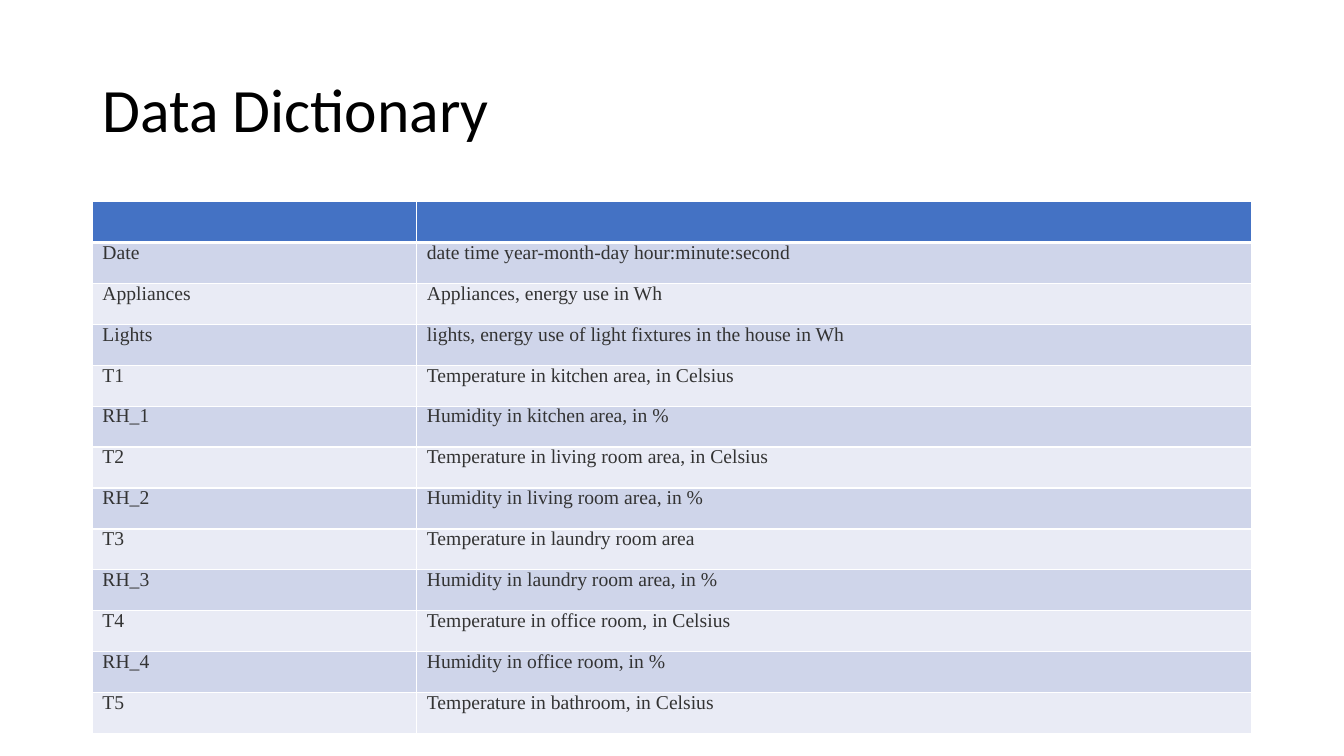
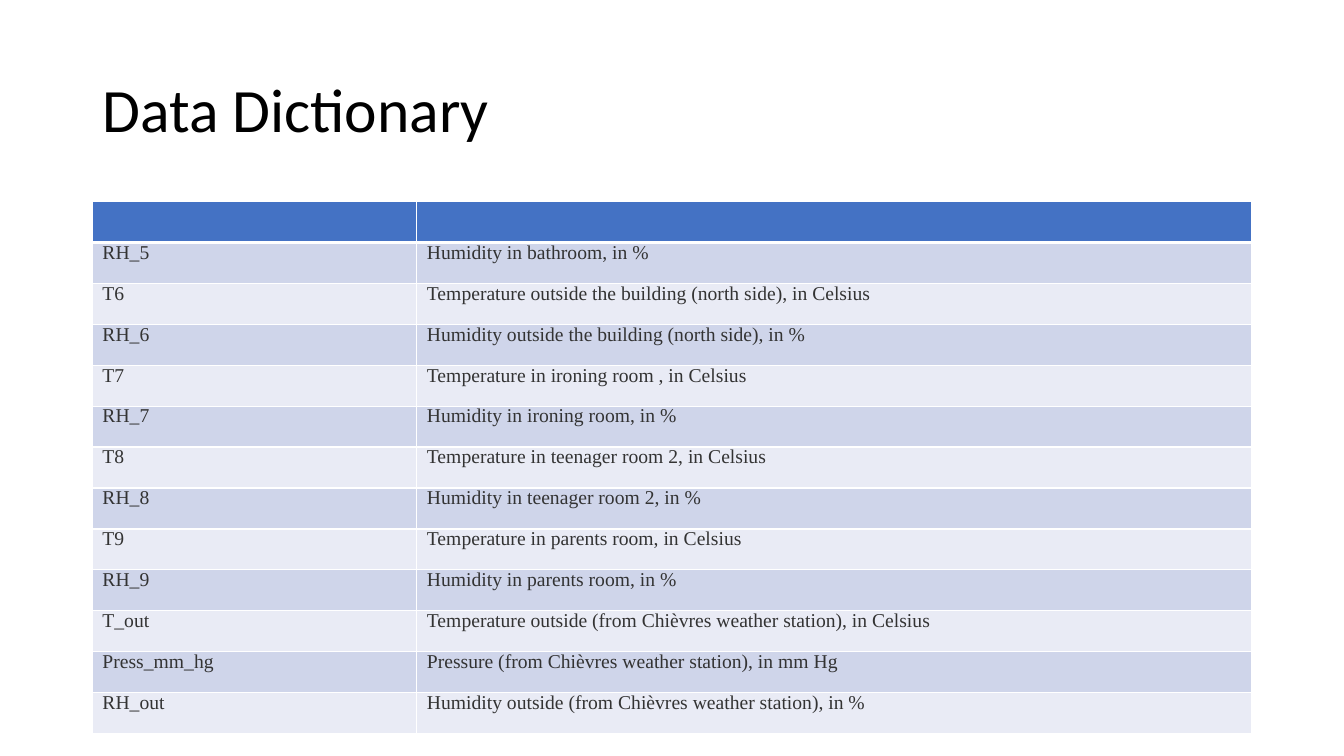
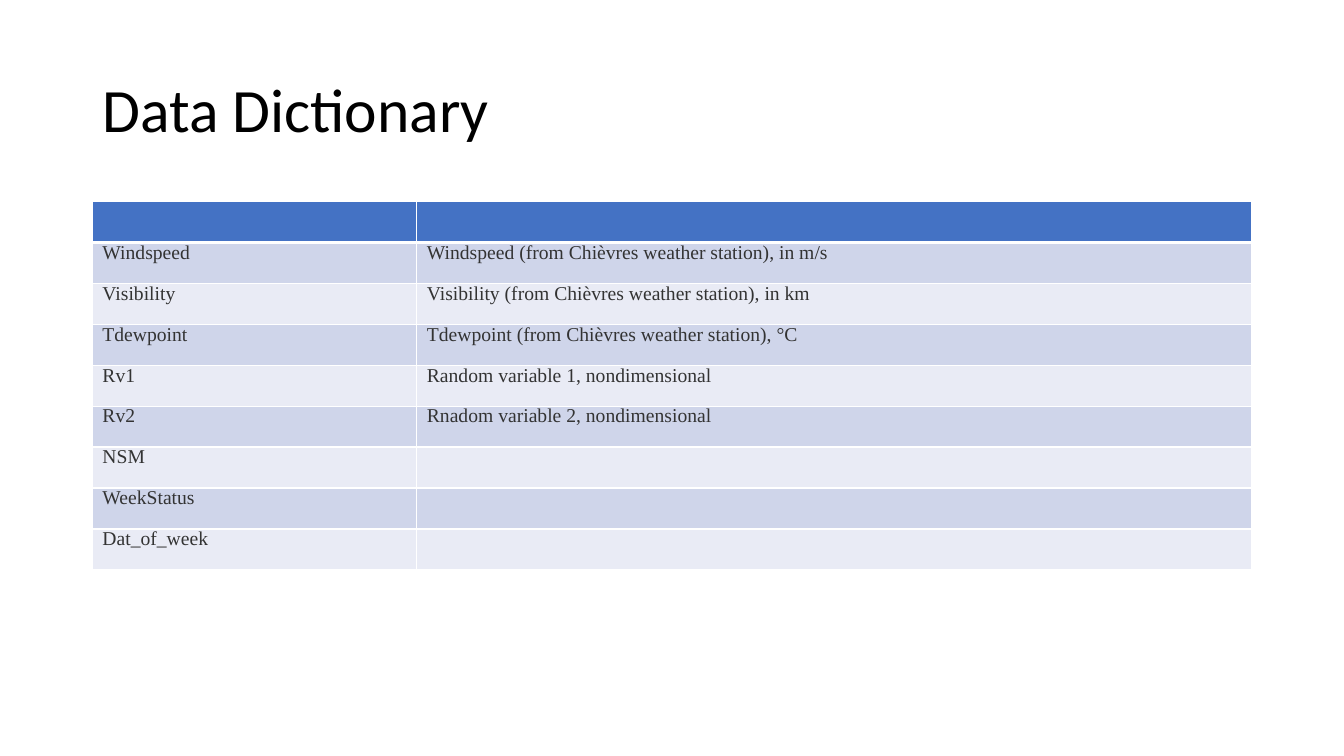
from lxml import etree
from pptx import Presentation
from pptx.dml.color import RGBColor
from pptx.enum.text import MSO_ANCHOR, MSO_AUTO_SIZE, PP_ALIGN
from pptx.oxml.ns import qn
from pptx.util import Pt

PX = 9525  # EMU per px, on a 1280 x 720 slide
HEADER, BANDS, WHITE = "4472C4", ("CFD5EA", "E9EBF5"), "FFFFFF"
COL_WIDTHS, ROW_HEIGHT = (309, 795), 39
LEFT, TABLE_TOP = 88, 192


def put_text(tf, text, size, font, color, spacing):
    p = tf.paragraphs[0]
    p.alignment = PP_ALIGN.LEFT
    p.line_spacing = spacing
    r = p.add_run()
    r.text = text
    r.font.size, r.font.name = Pt(size), font
    r.font.color.rgb = RGBColor.from_string(color)


def style_cell(cell, fill, top, bottom):
    cell.fill.solid()
    cell.fill.fore_color.rgb = RGBColor.from_string(fill)
    tcPr = cell._tc.get_or_add_tcPr()
    widths = {"a:lnL": 1, "a:lnR": 1, "a:lnT": top, "a:lnB": bottom}
    for i, (side, width) in enumerate(widths.items()):
        ln = etree.Element(qn(side), w=str(Pt(width)))
        solid = etree.SubElement(ln, qn("a:solidFill"))
        etree.SubElement(solid, qn("a:srgbClr"), val=WHITE)
        tcPr.insert(i, ln)


# Variables and their meanings, one list per slide
pages = [
    [
        ("Date", "date time year-month-day hour:minute:second"),
        ("Appliances", "Appliances, energy use in Wh"),
        ("Lights", "lights, energy use of light fixtures in the house in Wh"),
        ("T1", "Temperature in kitchen area, in Celsius"),
        ("RH_1", "Humidity in kitchen area, in %"),
        ("T2", "Temperature in living room area, in Celsius"),
        ("RH_2", "Humidity in living room area, in %"),
        ("T3", "Temperature in laundry room area"),
        ("RH_3", "Humidity in laundry room area, in %"),
        ("T4", "Temperature in office room, in Celsius"),
        ("RH_4", "Humidity in office room, in %"),
        ("T5", "Temperature in bathroom, in Celsius"),
    ],
    [
        ("RH_5", "Humidity in bathroom, in %"),
        ("T6", "Temperature outside the building (north side), in Celsius"),
        ("RH_6", "Humidity outside the building (north side), in %"),
        ("T7", "Temperature in ironing room , in Celsius"),
        ("RH_7", "Humidity in ironing room, in %"),
        ("T8", "Temperature in teenager room 2, in Celsius"),
        ("RH_8", "Humidity in teenager room 2, in %"),
        ("T9", "Temperature in parents room, in Celsius"),
        ("RH_9", "Humidity in parents room, in %"),
        ("T_out", "Temperature outside (from Chièvres weather station), in Celsius"),
        ("Press_mm_hg", "Pressure (from Chièvres weather station), in mm Hg"),
        ("RH_out", "Humidity outside (from Chièvres weather station), in %"),
    ],
    [
        ("Windspeed", "Windspeed (from Chièvres weather station), in m/s"),
        ("Visibility", "Visibility (from Chièvres weather station), in km"),
        ("Tdewpoint", "Tdewpoint (from Chièvres weather station), °C"),
        ("Rv1", "Random variable 1, nondimensional"),
        ("Rv2", "Rnadom variable 2, nondimensional"),
        ("NSM", ""),
        ("WeekStatus", ""),
        ("Dat_of_week", ""),
    ],
]

prs = Presentation()
prs.slide_width, prs.slide_height = 1280 * PX, 720 * PX

for entries in pages:
    s = prs.slides.add_slide(prs.slide_layouts[5])

    # Title
    title = s.shapes.title
    title.left, title.top = LEFT * PX, 38 * PX
    title.width, title.height = sum(COL_WIDTHS) * PX, 139 * PX
    tf = title.text_frame
    tf.auto_size = MSO_AUTO_SIZE.NONE
    tf.vertical_anchor = MSO_ANCHOR.MIDDLE
    put_text(tf, "Data Dictionary", size=44, font="Calibri", color="000000", spacing=0.9)

    # Table with an empty header row
    rows = [("", "")] + entries
    table = s.shapes.add_table(
        len(rows), len(COL_WIDTHS), LEFT * PX, TABLE_TOP * PX,
        sum(COL_WIDTHS) * PX, len(rows) * ROW_HEIGHT * PX).table
    for column, width in zip(table.columns, COL_WIDTHS):
        column.width = width * PX
    for i, row in enumerate(rows):
        table.rows[i].height = ROW_HEIGHT * PX
        fill = BANDS[(i - 1) % 2] if i else HEADER
        for j, text in enumerate(row):
            cell = table.cell(i, j)
            style_cell(cell, fill, top=3 if i == 1 else 1, bottom=1 if i else 3)
            if text:
                cell.margin_top = cell.margin_bottom = 0
                put_text(cell.text_frame, text, size=14, font="Times New Roman",
                         color="333333", spacing=Pt(15))

prs.save("out.pptx")
